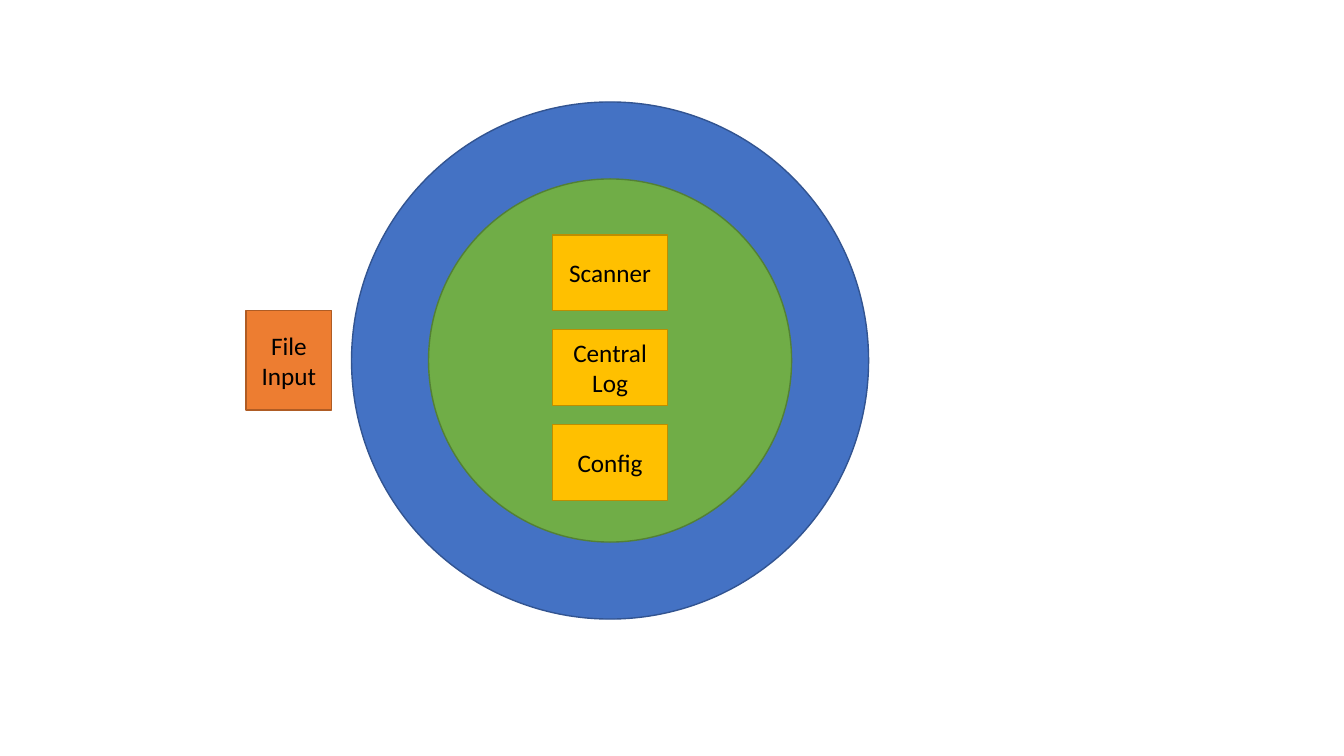
from dataclasses import dataclass

from pptx import Presentation
from pptx.dml.color import RGBColor
from pptx.enum.shapes import MSO_SHAPE
from pptx.enum.text import MSO_ANCHOR, PP_ALIGN
from pptx.util import Cm, Pt


@dataclass(frozen=True)
class Theme:
    # Each pair is fill, outline
    shell: tuple = ("4472C4", "325491")
    core: tuple = ("70AD47", "538035")
    module: tuple = ("FFC000", "BD8E00")
    source: tuple = ("ED7D31", "AF5C24")
    text: str = "000000"
    font: str = "Calibri"
    size: int = 18
    line: float = 1


THEME = Theme()


def add_part(slide, kind, box, colors, lines=()):
    """Draw one filled shape; box is left, top, width, height in cm."""
    s = slide.shapes.add_shape(kind, *(Cm(v) for v in box))
    s.shadow.inherit = False
    fill, outline = colors
    s.fill.solid()
    s.fill.fore_color.rgb = RGBColor.from_string(fill)
    s.line.color.rgb = RGBColor.from_string(outline)
    s.line.width = Pt(THEME.line)

    tf = s.text_frame
    tf.word_wrap = True
    tf.vertical_anchor = MSO_ANCHOR.MIDDLE
    for i, line in enumerate(lines):
        p = tf.paragraphs[0] if i == 0 else tf.add_paragraph()
        p.text = line
        p.alignment = PP_ALIGN.CENTER
        p.font.name = THEME.font
        p.font.size = Pt(THEME.size)
        p.font.color.rgb = RGBColor.from_string(THEME.text)


def add_modules(slide, box, modules):
    """Stack the modules, centred in the box."""
    left, top, width, height = box
    w, h, gap = 2.9, 1.91, 0.48
    x = left + (width - w) / 2
    y = top + 1.41
    for i, lines in enumerate(modules):
        add_part(slide, MSO_SHAPE.RECTANGLE, (x, y + i * (h + gap), w, h),
                 THEME.module, lines)


def add_system(slide, box, modules):
    """Draw the outer shell, the concentric core and its modules."""
    left, top, width, height = box
    inset = 1.94
    core = (left + inset, top + inset, width - 2 * inset, height - 2 * inset)
    add_part(slide, MSO_SHAPE.OVAL, box, THEME.shell)
    add_part(slide, MSO_SHAPE.OVAL, core, THEME.core)
    add_modules(slide, core, modules)


def main():
    prs = Presentation()
    prs.slide_width, prs.slide_height = Cm(33.87), Cm(19.05)
    slide = prs.slides.add_slide(prs.slide_layouts[6])

    # Concentric system
    add_system(slide, (8.86, 2.57, 13.03, 13.03),
               [["Scanner"], ["Central", "Log"], ["Config"]])
    # Input outside the shell
    add_part(slide, MSO_SHAPE.RECTANGLE, (6.2, 7.82, 2.16, 2.51),
             THEME.source, ["File", "Input"])

    prs.save("out.pptx")


if __name__ == "__main__":
    main()
